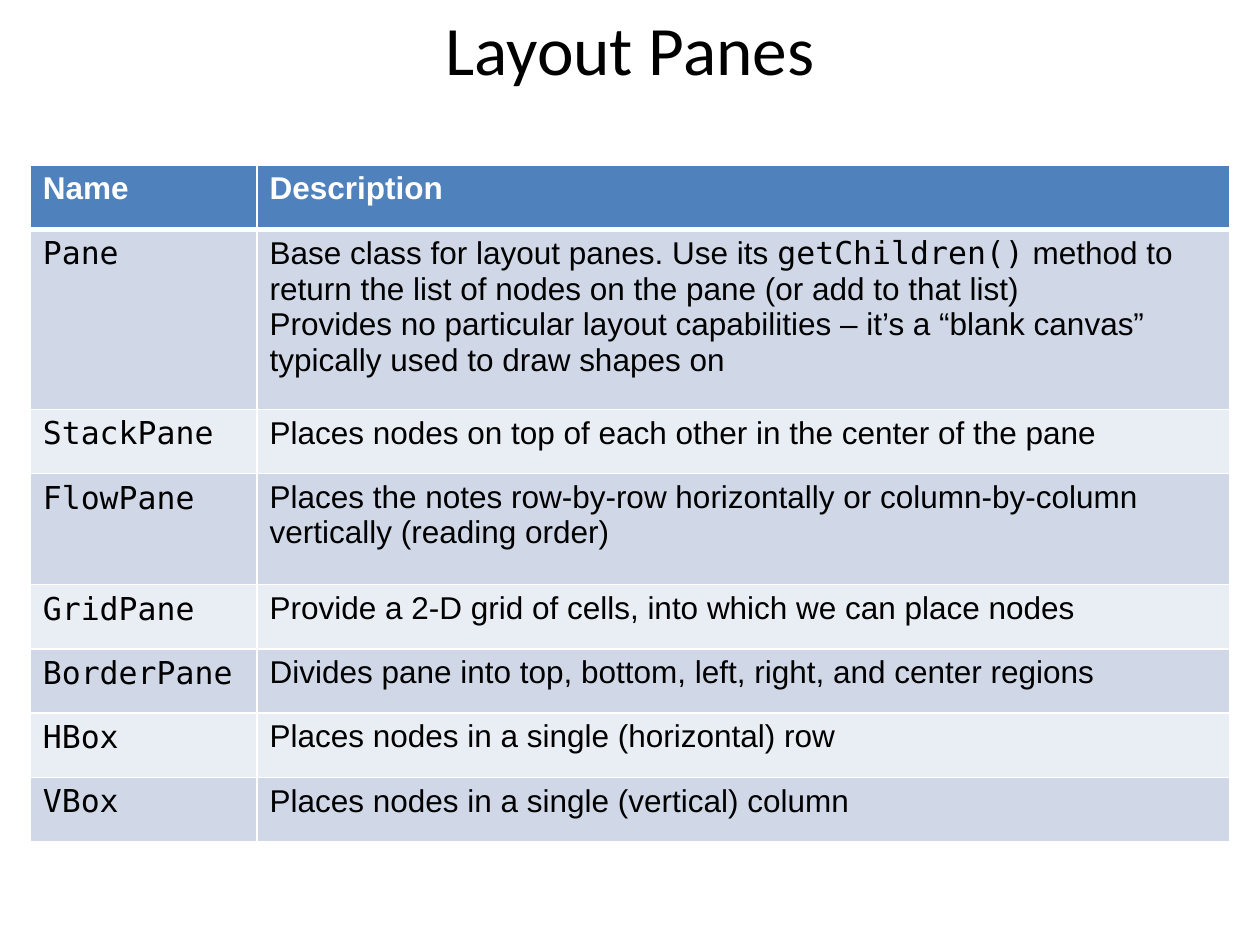
from lxml.etree import SubElement
from pptx import Presentation
from pptx.dml.color import RGBColor
from pptx.enum.text import MSO_ANCHOR, PP_ALIGN
from pptx.oxml.ns import qn
from pptx.util import Inches, Pt

WIDTH, HEIGHT = 10, 7.5
SANS, MONO = "Arial", "DejaVu Sans Mono"
WHITE, BLACK, HEADER = "FFFFFF", "000000", "4F81BD"
BANDS = ["D0D8E8", "E9EDF4"]
TABLE_LEFT, TABLE_TOP = 0.24, 1.31
COLUMN_WIDTHS = [1.8, 7.72]
ROW_HEIGHT = 0.51

PANES = [
    ("Pane", 1.43, [
        ("Base class for layout panes. Use its ", SANS),
        ("getChildren()", MONO),
        (" method to return the list of nodes on the pane (or add to that list)\n"
         "Provides no particular layout capabilities – it’s a “blank canvas” "
         "typically used to draw shapes on", SANS),
    ]),
    ("StackPane", ROW_HEIGHT,
     [("Places nodes on top of each other in the center of the pane", SANS)]),
    ("FlowPane", 0.88,
     [("Places the notes row-by-row horizontally or column-by-column "
       "vertically (reading order)", SANS)]),
    ("GridPane", ROW_HEIGHT,
     [("Provide a 2-D grid of cells, into which we can place nodes", SANS)]),
    ("BorderPane", ROW_HEIGHT,
     [("Divides pane into top, bottom, left, right, and center regions", SANS)]),
    ("HBox", ROW_HEIGHT, [("Places nodes in a single (horizontal) row", SANS)]),
    ("VBox", ROW_HEIGHT, [("Places nodes in a single (vertical) column", SANS)]),
]


def color(value):
    return RGBColor.from_string(value)


def style_font(font, name, size, value, bold=False):
    font.name = name
    font.size = Pt(size)
    font.bold = bold
    font.color.rgb = color(value)


def add_title(page, text):
    box = page.shapes.add_textbox(0, 0, Inches(WIDTH), Inches(HEIGHT / 10))
    frame = box.text_frame
    frame.word_wrap = True
    frame.vertical_anchor = MSO_ANCHOR.MIDDLE
    para = frame.paragraphs[0]
    para.text = text
    para.alignment = PP_ALIGN.CENTER
    style_font(para.font, "Calibri", 39.6, BLACK)


def set_borders(cell, bottom):
    properties = cell._tc.get_or_add_tcPr()
    for side, points in zip("LRTB", [1, 1, 1, bottom]):
        line = SubElement(properties, qn(f"a:ln{side}"), w=str(Pt(points)))
        SubElement(SubElement(line, qn("a:solidFill")), qn("a:srgbClr"), val=WHITE)


def fill_cell(cell, pieces, background, text_color=BLACK, bold=False, bottom=1):
    set_borders(cell, bottom)
    cell.fill.solid()
    cell.fill.fore_color.rgb = color(background)
    para = cell.text_frame.paragraphs[0]
    style_font(para.font, pieces[0][1], 18, text_color, bold)
    for text, font_name in pieces:
        for index, line in enumerate(text.split("\n")):
            if index:
                para.add_line_break()
            span = para.add_run()
            span.text = line
            if len(pieces) > 1:
                span.font.name = font_name


def add_pane_table(page):
    heights = [ROW_HEIGHT] + [height for _, height, _ in PANES]
    table = page.shapes.add_table(
        len(heights), len(COLUMN_WIDTHS), Inches(TABLE_LEFT), Inches(TABLE_TOP),
        Inches(sum(COLUMN_WIDTHS)), Inches(sum(heights))).table
    for column, width in zip(table.columns, COLUMN_WIDTHS):
        column.width = Inches(width)
    for row, height in zip(table.rows, heights):
        row.height = Inches(height)
    for column, text in enumerate(["Name", "Description"]):
        fill_cell(table.cell(0, column), [(text, SANS)], HEADER, WHITE, True, 3)
    for row, (name, _, description) in enumerate(PANES, 1):
        band = BANDS[(row - 1) % 2]
        fill_cell(table.cell(row, 0), [(name, MONO)], band)
        fill_cell(table.cell(row, 1), description, band)


def main():
    deck = Presentation()
    deck.slide_width, deck.slide_height = Inches(WIDTH), Inches(HEIGHT)
    page = deck.slides.add_slide(deck.slide_layouts[6])
    add_title(page, "Layout Panes")
    add_pane_table(page)
    deck.save("out.pptx")


if __name__ == "__main__":
    main()
